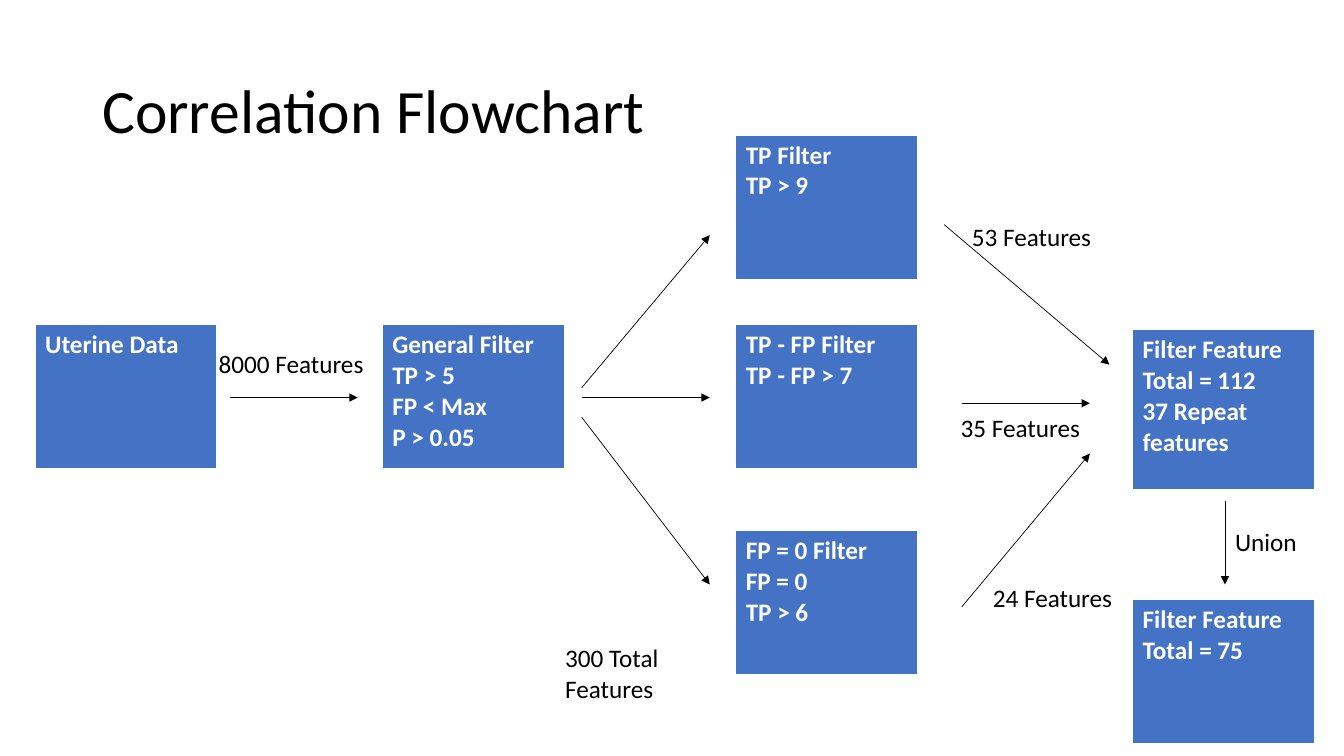
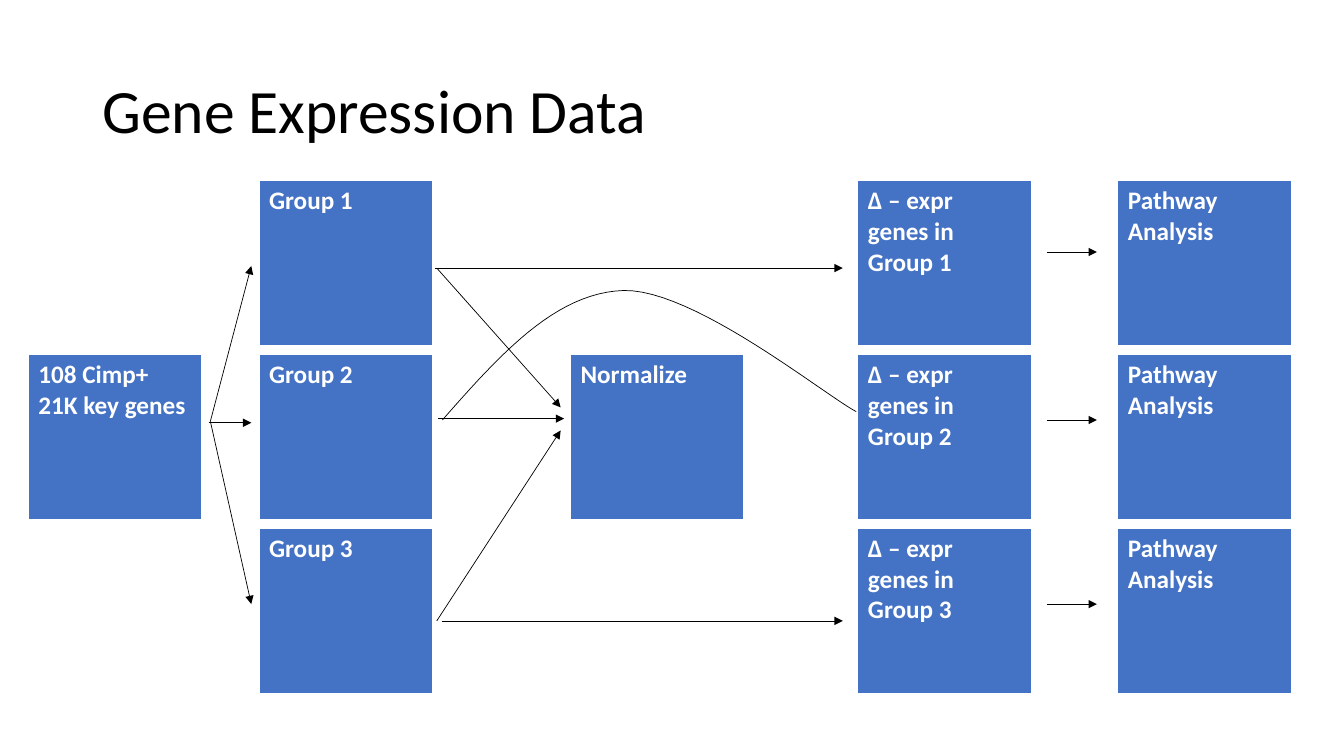
from lxml.etree import SubElement
from pptx import Presentation
from pptx.dml.color import RGBColor
from pptx.enum.shapes import MSO_CONNECTOR
from pptx.enum.text import MSO_ANCHOR
from pptx.oxml import parse_xml
from pptx.oxml.ns import nsdecls, qn
from pptx.util import Pt

BLUE = RGBColor(0x44, 0x72, 0xC4)
WHITE = RGBColor(0xFF, 0xFF, 0xFF)
BLACK = RGBColor(0x00, 0x00, 0x00)
FONT = "Calibri"
BORDERS = {"lnL": 1, "lnR": 1, "lnT": 1, "lnB": 3}


def write(frame, text, size=18, color=BLACK, bold=False, spacing=None):
    frame.word_wrap = True
    for index, line in enumerate(text.split("\n")):
        paragraph = frame.add_paragraph() if index else frame.paragraphs[0]
        paragraph.line_spacing = spacing
        run = paragraph.add_run()
        run.text = line
        run.font.name = FONT
        run.font.size = Pt(size)
        run.font.bold = bold
        run.font.color.rgb = color


def add_cell(slide, text, left, top, width, height, filled):
    table = slide.shapes.add_table(1, 1, Pt(left), Pt(top), Pt(width), Pt(height)).table
    table.first_row = table.horz_banding = False
    cell = table.cell(0, 0)
    if filled:
        cell.fill.solid()
        cell.fill.fore_color.rgb = BLUE
    else:
        cell.fill.background()
    paint = f'<a:solidFill><a:srgbClr val="{WHITE}"/></a:solidFill>' if filled else "<a:noFill/>"
    properties = cell._tc.get_or_add_tcPr()
    for index, (side, weight) in enumerate(BORDERS.items()):
        border = f'<a:{side} {nsdecls("a")} w="{Pt(weight)}">{paint}</a:{side}>'
        properties.insert(index, parse_xml(border))
    write(cell.text_frame, text, color=WHITE if filled else BLACK, bold=filled)


filter_w, filter_h = 130, 104
source_x, general_x, filter_x, total_x = 25, 273, 525.5, 809
middle_y = 232
correlation_boxes = [
    ("Uterine Data", source_x, middle_y, filter_w, filter_h),
    ("General Filter\nTP > 5\nFP < Max\nP > 0.05", general_x, middle_y, filter_w, filter_h),
    ("TP Filter\nTP > 9", filter_x, 96.5, filter_w, filter_h),
    ("TP - FP Filter\nTP - FP > 7", filter_x, middle_y, filter_w, filter_h),
    ("FP = 0 Filter\nFP = 0\nTP > 6", filter_x, 379, filter_w, filter_h),
    ("Filter Feature\nTotal = 112\n37 Repeat features", total_x, 235.5, filter_w, 115),
    ("Filter Feature\nTotal = 75", total_x, 428, filter_w, filter_h),
]
correlation_labels = [
    ("8000 Features", 149, 246, 129, 29),
    ("300 Total Features", 396.5, 456, 129, 50),
    ("53 Features", 687, 155, 129, 29),
    ("35 Features", 679, 291.5, 122, 29),
    ("24 Features", 702, 413, 107, 29),
    ("Union", 875, 373, 60.5, 29),
]
correlation_arrows = [
    (164, 284, 255.5, 284),
    (415.5, 284, 507, 284),
    (415.5, 298, 507, 417.5),
    (415.5, 277, 507, 168),
    (687, 433.5, 778.5, 324),
    (674.5, 160.5, 792.5, 260.5),
    (687, 288, 778.5, 288),
    (875, 358, 875, 417.5),
]

gene_w, gene_h, gene_gap = 124, 118.8, 5.4
row_tops = [129 + row * (gene_h + gene_gap) for row in range(3)]
gene_boxes = [
    ("108 Cimp+\n21K key genes", 20.2, row_tops[1], gene_w, gene_h),
    ("Normalize", 407.5, row_tops[1], gene_w, gene_h),
]
for number, row_top in enumerate(row_tops, 1):
    for text, column_x in [
        (f"Group {number}", 185),
        (f"Δ – expr\ngenes in\nGroup {number}", 612.8),
        ("Pathway\nAnalysis", 798.5),
    ]:
        gene_boxes.append((text, column_x, row_top, gene_w, gene_h))
gene_arrows = [
    (149, 302, 179.5, 302),
    (150.5, 302, 179.5, 431.5),
    (150, 302, 179.5, 190),
    (312, 443.5, 400.5, 307.5),
    (312, 191.5, 400.5, 291),
    (313, 299, 403, 299),
    (311, 191.5, 602, 191.5),
    (315.5, 443.5, 602, 443.5),
]
gene_arrows += [(748, y, 783.5, y) for y in (180, 300, 431.5)]

presentation = Presentation()
presentation.slide_width, presentation.slide_height = Pt(960), Pt(540)

for heading, boxes, labels, arrows in [
    ("Correlation Flowchart", correlation_boxes, correlation_labels, correlation_arrows),
    ("Gene Expression Data", gene_boxes, [], gene_arrows),
]:
    slide = presentation.slides.add_slide(presentation.slide_layouts[6])
    title = slide.shapes.add_textbox(Pt(66), Pt(28.75), Pt(828), Pt(104.4)).text_frame
    title.vertical_anchor = MSO_ANCHOR.MIDDLE
    write(title, heading, size=44, spacing=0.9)
    for box in boxes:
        add_cell(slide, *box, filled=True)
    for label in labels:
        add_cell(slide, *label, filled=False)
    for ends in arrows:
        arrow = slide.shapes.add_connector(MSO_CONNECTOR.STRAIGHT, *map(Pt, ends))
        arrow.line.color.rgb = BLACK
        arrow.line.width = Pt(0.5)
        SubElement(arrow.line._get_or_add_ln(), qn("a:tailEnd"), type="triangle")
        SubElement(arrow._element.spPr, qn("a:effectLst"))

curve_start = (316, 300)
curve_segments = [
    [curve_start, (356.5, 254), (396.5, 209), (445.5, 207.5)],
    [(445.5, 207.5), (495.5, 206.5), (587.5, 281), (611.5, 294)],
]
steps = 24
curve_points = []
for segment in curve_segments:
    for step in range(1, steps + 1):
        t = step / steps
        weights = ((1 - t) ** 3, 3 * t * (1 - t) ** 2, 3 * t**2 * (1 - t), t**3)
        curve_points.append(
            tuple(Pt(sum(w * c for w, c in zip(weights, axis))) for axis in zip(*segment))
        )
builder = slide.shapes.build_freeform(*map(Pt, curve_start))
builder.add_line_segments(curve_points, close=False)
group_curve = builder.convert_to_shape()
group_curve.shadow.inherit = False
group_curve.fill.background()
group_curve.line.color.rgb = BLACK
group_curve.line.width = Pt(0.5)

presentation.save("out.pptx")
